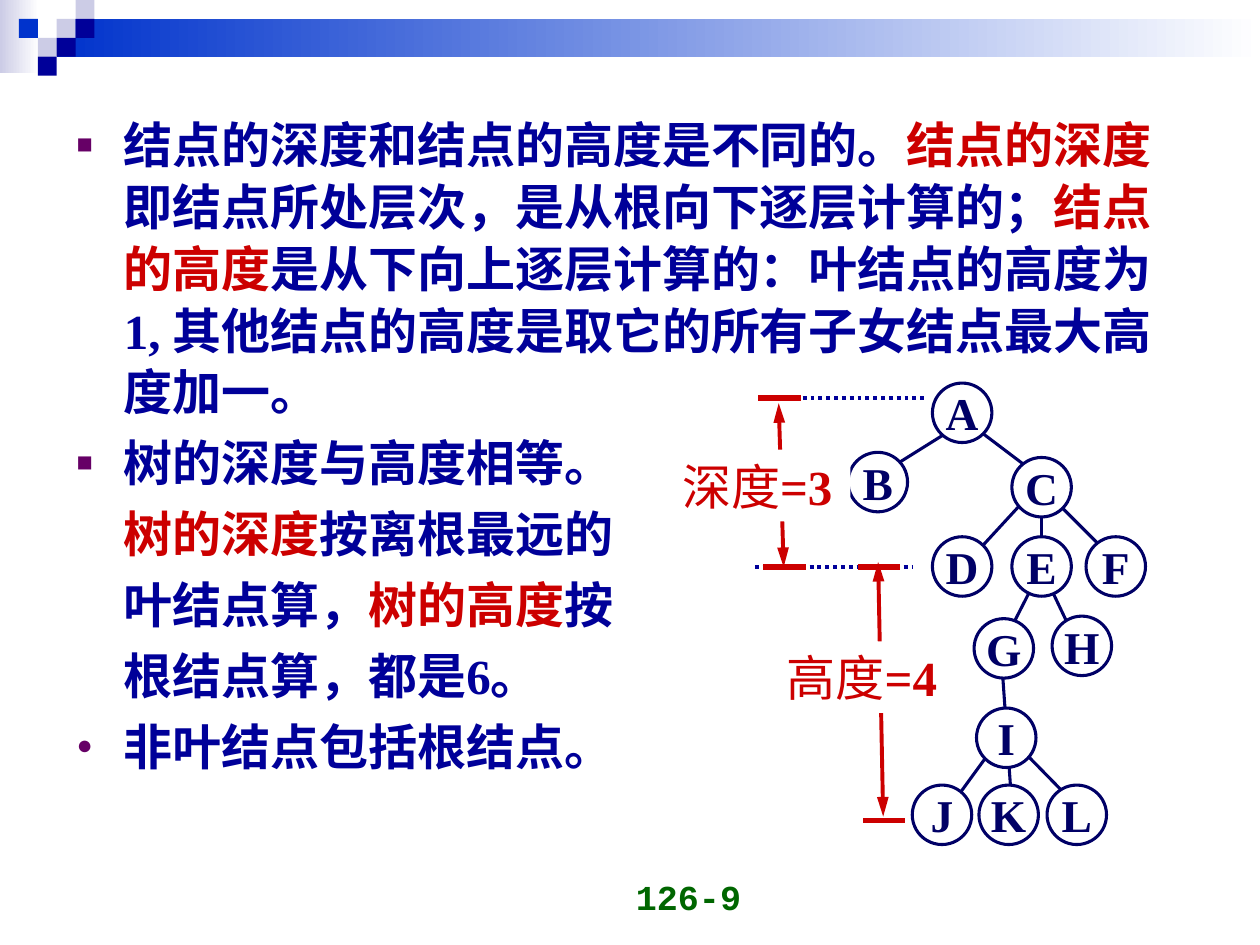
from lxml import etree
from pptx import Presentation
from pptx.dml.color import RGBColor
from pptx.enum.dml import MSO_LINE
from pptx.enum.shapes import MSO_CONNECTOR, MSO_SHAPE
from pptx.enum.text import MSO_ANCHOR, PP_ALIGN
from pptx.oxml.ns import qn
from pptx.util import Pt

STRAIGHT = MSO_CONNECTOR.STRAIGHT
RECTANGLE, OVAL = MSO_SHAPE.RECTANGLE, MSO_SHAPE.OVAL
DOTTED = MSO_LINE.ROUND_DOT
LEFT, CENTER, RIGHT = PP_ALIGN.LEFT, PP_ALIGN.CENTER, PP_ALIGN.RIGHT
TOP, MIDDLE, BOTTOM = MSO_ANCHOR.TOP, MSO_ANCHOR.MIDDLE, MSO_ANCHOR.BOTTOM

THEME = {
    "blue": "000099", "red": "CC0000", "navy": "000066", "purple": "660066",
    "green": "006600", "bright": "0033CC", "pale": "CCCCE6", "white": "FFFFFF",
    "body_font": "Arial", "serif": "Times New Roman", "mono": "Courier New",
    "body_size": 28, "node_size": 26, "page_size": 20,
}

# Each paragraph: bullet, then runs of (text, format)
RED = {"color": "red"}
SERIF = {"font": THEME["serif"]}
BODY = [
    ("■", [("结点的深度和结点的高度是不同的。", {}), ("结点的深度", RED),
           ("即结点所处层次，是从根向下逐层计算的；", {}), ("结点的高度", RED),
           ("是从下向上逐层计算的：", {}),
           ("叶结点的高度为1, 其他结点的高度是取它的所有子女结点最大高度加一。", SERIF)]),
    ("■", [("树的深度与高度相等。", SERIF)]),
    (None, [("树的深度", {**SERIF, **RED}), ("按离根最远的", SERIF)]),
    (None, [("叶结点算，", SERIF), ("树的高度", {**SERIF, **RED}), ("按", SERIF)]),
    (None, [("根结点算，都是6。", SERIF)]),
    ("●", [("非叶结点包括根结点。", SERIF)]),
]
PAGE_NUMBER = "126-9"

# Header mosaic: column, row, colour
CELL = 10.8
MOSAIC = [(3, 1, "pale"), (4, 0, "pale"), (4, 1, "blue"), (2, 2, "pale"),
          (1, 1, "bright"), (3, 2, "blue"), (2, 3, "blue")]

NODE_DIAMETER = 34
NODES = {  # left, top
    "A": (532.8, 218.9), "B": (484.6, 258.5), "C": (578.2, 261.4),
    "D": (532.8, 306.7), "E": (578.2, 306.7), "F": (620.6, 306.7),
    "G": (556.6, 353.5), "H": (601.2, 352.1), "I": (558, 404.6),
    "J": (521.3, 448.6), "K": (559.4, 448.6), "L": (598.3, 448.6),
}
EDGES = [  # x1, y1, x2, y2
    (601.2, 337.7, 614.9, 366.5),  # E-H
    (592.6, 329.8, 572.4, 369.4),  # E-G
    (572.4, 378, 578.2, 460.1),    # G-I-K
    (586.8, 284.4, 553, 321.1),    # C-D
    (550.1, 239, 591.1, 270),      # A-C
    (545, 244.8, 504.7, 270),      # A-B
    (595.4, 281.5, 595.4, 326.9),  # C-E
    (607, 290.2, 635, 318.2),      # C-F
    (581, 425.5, 614.9, 460.1),    # I-L
    (564.5, 431.3, 541.4, 463),    # I-J
]
GUIDES = [(436.3, 227.5, 527.8, 227.5), (431.3, 324, 521.3, 324)]
HEIGHT_MEASURE = {
    "ticks": [(493.2, 468.7, 517, 468.7), (490.3, 324, 514.1, 324)],
    "arrow": (504.7, 466.6, 501.8, 321.1),
    "label": ("高度", "=4"), "box": (439.2, 366.5, 106.6, 41),
}
DEPTH_MEASURE = {
    "ticks": [(436.3, 324, 460.8, 324), (433.4, 227.5, 457.9, 227.5)],
    "arrow": (447.8, 324, 445, 230.4),
    "label": ("深度", "=3"), "box": (379.4, 257, 106.6, 41),
}


def rgb(name):
    return RGBColor.from_string(THEME[name])


def add_run(paragraph, text, font=THEME["body_font"], size=THEME["body_size"],
            color="blue", bold=True):
    run = paragraph.add_run()
    run.text = text
    run.font.name, run.font.size, run.font.bold = font, Pt(size), bold
    run.font.color.rgb = rgb(color)


def set_frame(shape, anchor, wrap, insets=(7.2, 3.6)):
    frame = shape.text_frame
    frame.word_wrap, frame.vertical_anchor = wrap, anchor
    frame.margin_left = frame.margin_right = Pt(insets[0])
    frame.margin_top = frame.margin_bottom = Pt(insets[1])
    return frame


def add_shape(slide, kind, box, fill, fade=False, outline=None):
    """Add a flat shape; fade runs the fill to white from left to right."""
    shape = slide.shapes.add_shape(kind, *map(Pt, box))
    shape.shadow.inherit = False
    if fade:
        shape.fill.gradient()
        shape.fill.gradient_angle = 0
        for stop, color, position in zip(shape.fill.gradient_stops, (fill, "white"), (0, 1)):
            stop.color.rgb, stop.position = rgb(color), position
    else:
        shape.fill.solid()
        shape.fill.fore_color.rgb = rgb(fill)
    if outline:
        shape.line.color.rgb, shape.line.width = rgb(outline), Pt(1.75)
    else:
        shape.line.fill.background()
    return shape


def add_line(slide, points, color, width, dash=None, arrows=False):
    connector = slide.shapes.add_connector(STRAIGHT, *map(Pt, points))
    connector.line.color.rgb, connector.line.width = rgb(color), Pt(width)
    if dash:
        connector.line.dash_style = dash
    if arrows:
        for end in ("a:headEnd", "a:tailEnd"):
            etree.SubElement(connector.line._get_or_add_ln(), qn(end),
                             type="triangle", w="med", len="lg")
    etree.SubElement(connector._element.spPr, qn("a:effectLst"))


def set_bullet(paragraph, character):
    """Hang the paragraph, with a small purple bullet if a character is given."""
    properties = paragraph._p.get_or_add_pPr()
    properties.set("marL", str(Pt(27)))
    properties.set("indent", str(Pt(-27) if character else 0))
    if not character:
        etree.SubElement(properties, qn("a:buNone"))
        return
    color = etree.SubElement(properties, qn("a:buClr"))
    etree.SubElement(color, qn("a:srgbClr"), val=THEME["purple"])
    etree.SubElement(properties, qn("a:buSzPct"), val="55000")
    etree.SubElement(properties, qn("a:buFont"), typeface=THEME["body_font"])
    etree.SubElement(properties, qn("a:buChar"), char=character)


def add_header(slide):
    add_shape(slide, RECTANGLE, (0, 0, 22.3, 41.8), "pale", fade=True)
    add_shape(slide, RECTANGLE, (32.4, CELL, 687.6, 2 * CELL), "bright", fade=True)
    for column, row, color in MOSAIC:
        add_shape(slide, RECTANGLE, (column * CELL, row * CELL, CELL, CELL), color)


def add_body(slide):
    frame = set_frame(slide.shapes.add_textbox(Pt(36.7), Pt(60.5), Pt(648), Pt(453.6)), TOP, True)
    for index, (bullet, runs) in enumerate(BODY):
        paragraph = frame.add_paragraph() if index else frame.paragraphs[0]
        paragraph.alignment, paragraph.line_spacing = LEFT, 1.05
        paragraph.space_before = Pt(5.2 if index else 0)
        set_bullet(paragraph, bullet)
        for text, style in runs:
            add_run(paragraph, text, **style)


def add_tree(slide):
    for edge in EDGES:
        add_line(slide, edge, "navy", 1.75)
    for name, (left, top) in NODES.items():
        box = (left, top, NODE_DIAMETER, NODE_DIAMETER)
        node = add_shape(slide, OVAL, box, "white", outline="navy")
        paragraph = set_frame(node, MIDDLE, False, (0, 0)).paragraphs[0]
        paragraph.alignment = CENTER
        add_run(paragraph, name, THEME["serif"], THEME["node_size"], "navy")


def add_measure(slide, measure):
    """Draw a double arrow between two ticks, with its label over the middle."""
    for tick in measure["ticks"]:
        add_line(slide, tick, "red", 3)
    add_line(slide, measure["arrow"], "red", 2.25, arrows=True)
    label = add_shape(slide, RECTANGLE, measure["box"], "white")
    paragraph = set_frame(label, MIDDLE, False).paragraphs[0]
    paragraph.alignment = CENTER
    for text, bold in zip(measure["label"], (False, True)):
        add_run(paragraph, text, THEME["serif"], color="red", bold=bold)


def add_page_number(slide):
    textbox = slide.shapes.add_textbox(Pt(262.8), Pt(491.8), Pt(167.8), Pt(36))
    paragraph = set_frame(textbox, BOTTOM, True).paragraphs[0]
    paragraph.alignment = RIGHT
    add_run(paragraph, PAGE_NUMBER, THEME["mono"], THEME["page_size"], "green")


def main():
    presentation = Presentation()
    presentation.slide_width, presentation.slide_height = Pt(720), Pt(540)
    slide = presentation.slides.add_slide(presentation.slide_layouts[6])
    add_header(slide)
    add_page_number(slide)
    add_body(slide)
    for guide in GUIDES:
        add_line(slide, guide, "blue", 2.25, dash=DOTTED)
    add_tree(slide)
    for measure in (HEIGHT_MEASURE, DEPTH_MEASURE):
        add_measure(slide, measure)
    presentation.save("out.pptx")


if __name__ == "__main__":
    main()
